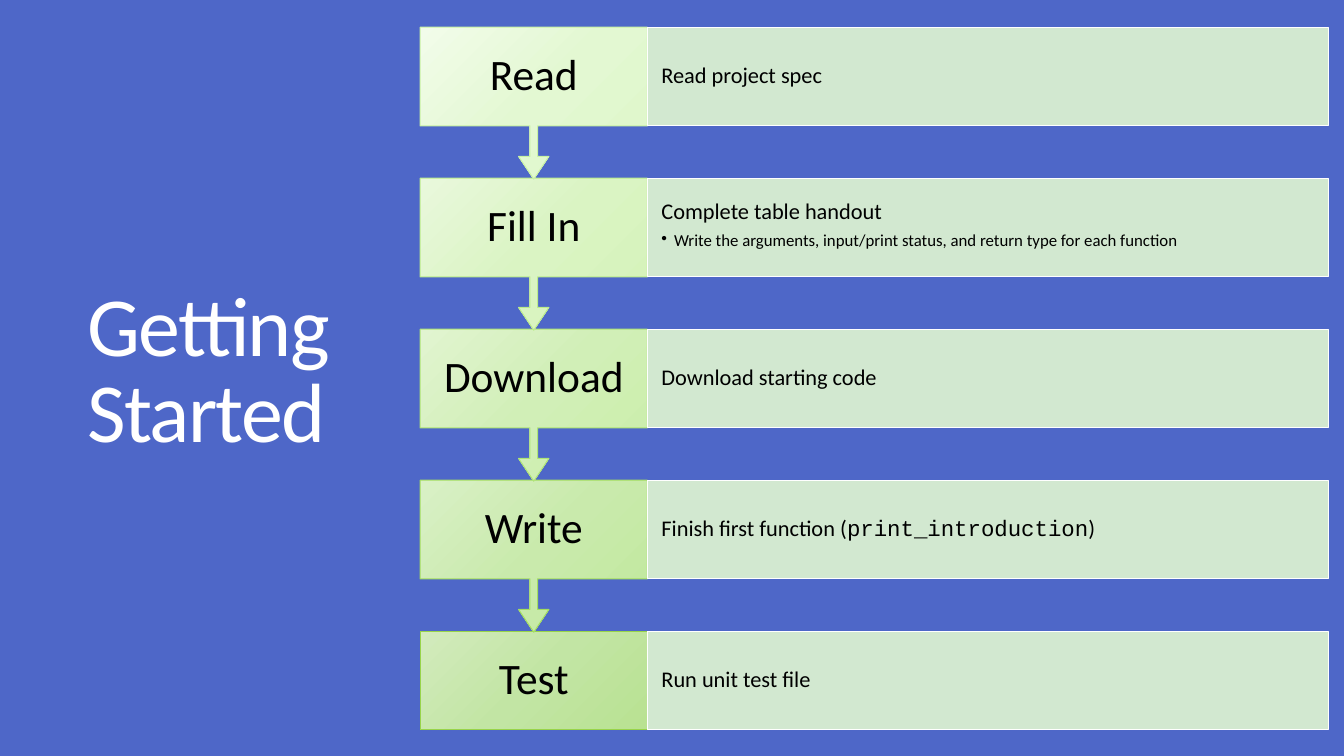
import copy

import pptx
import pptx.dml.color
import pptx.enum.shapes
import pptx.enum.text
import pptx.oxml
import pptx.oxml.ns
import pptx.util

Pt = pptx.util.Pt
SHAPES = pptx.enum.shapes.MSO_SHAPE
ALIGN = pptx.enum.text.PP_ALIGN
ANCHOR = pptx.enum.text.MSO_ANCHOR

# Content: step name, detail paragraphs (each a list of (text, is_code) runs)
TITLE = "Getting Started"
STEPS = [
    ("Read", [[("Read project spec", False)]]),
    ("Fill In", [
        [("Complete table handout", False)],
        [("Write the arguments, input/print status, and return type for each function", False)],
    ]),
    ("Download", [[("Download starting code", False)]]),
    ("Write", [[("Finish first function (", False), ("print_introduction", True), (")", False)]]),
    ("Test", [[("Run unit test file", False)]]),
]

THEME = {
    "font": "Calibri", "code_font": "Courier New",
    "background": "4E67C8", "white": "FFFFFF", "text": "000000",
    "detail": "E1F7D1", "detail_opacity": 90,
    "title_size": 60, "step_size": 31, "detail_size": 16, "bullet_size": 12,
    # Per step: three gradient stops, then the outline
    "steps": [
        ("F2FCEA", "E3F8D2", "DEF7C9", "C8F1A3"),
        ("E9F8DC", "DAF4C3", "D4F3B8", "BBEB8B"),
        ("E1F4D0", "D1EFB7", "CAEEA9", "AEE475"),
        ("D9F0C6", "C9EAAC", "C1E99D", "A3DD5F"),
        ("D3EBBD", "C2E5A4", "B9E292", "98D44A"),
    ],
}

# Layout in points
TOP, PITCH = 19.4, 107.85
BOX_HEIGHT, CALLOUT_HEIGHT = 70.6, 108.6
STEP_LEFT, STEP_WIDTH, DETAIL_WIDTH = 300.2, 162.2, 486.3
BULLET_INDENT = 9


def color(name):
    return pptx.dml.color.RGBColor.from_string(name)


def write(frame, paragraphs, size, ink=THEME["text"], align=ALIGN.LEFT,
          anchor=ANCHOR.MIDDLE, insets=(7.2, 3.6), line_spacing=0.9, tracking=None):
    """Fill a frame; paragraphs after the first become smaller bullets."""
    frame.word_wrap = True
    frame.vertical_anchor = anchor
    frame.margin_left = frame.margin_right = Pt(insets[0])
    frame.margin_top = frame.margin_bottom = Pt(insets[1])
    for index, runs in enumerate(paragraphs):
        paragraph = frame.add_paragraph() if index else frame.paragraphs[0]
        paragraph.alignment = align
        paragraph.line_spacing = line_spacing
        if index < len(paragraphs) - 1:
            paragraph.space_after = Pt(5.6)
        if index:
            properties = paragraph._p.get_or_add_pPr()
            properties.set("marL", str(Pt(BULLET_INDENT)))
            properties.set("indent", str(-Pt(BULLET_INDENT)))
            bullet = pptx.oxml.parse_xml(
                f'<a:buChar {pptx.oxml.ns.nsdecls("a")} char="•"/>')
            properties.append(bullet)
        for text, is_code in runs:
            run = paragraph.add_run()
            run.text = text
            run.font.name = THEME["code_font" if is_code else "font"]
            run.font.size = Pt(THEME["bullet_size"] if index else size)
            run.font.color.rgb = color(ink)
            if tracking:
                run._r.get_or_add_rPr().set("spc", str(round(tracking * 100)))


def add_box(slide, kind, left, top, width, height, outline):
    shape = slide.shapes.add_shape(kind, Pt(left), Pt(top), Pt(width), Pt(height))
    shape.shadow.inherit = False
    shape.line.color.rgb = color(outline)
    shape.line.width = Pt(0.75)
    return shape


def fill_gradient(shape, colors):
    shape.fill.gradient()
    shape.fill.gradient_angle = 315
    first = shape._element.spPr.find(".//" + pptx.oxml.ns.qn("a:gs"))
    first.addnext(copy.deepcopy(first))
    for stop, name, position in zip(shape.fill.gradient_stops, colors, (0, 0.5, 1)):
        stop.color.rgb = color(name)
        stop.position = position


def add_step(slide, index, name, details):
    top = TOP + index * PITCH
    *stops, outline = THEME["steps"][index]

    # Step name; every step but the last points down to the next
    if index < len(STEPS) - 1:
        step = add_box(slide, SHAPES.DOWN_ARROW_CALLOUT, STEP_LEFT, top,
                       STEP_WIDTH, CALLOUT_HEIGHT, outline)
        for number, value in enumerate((0.05, 0.1, 0.15, 0.65)):
            step.adjustments[number] = value
    else:
        step = add_box(slide, SHAPES.RECTANGLE, STEP_LEFT, top,
                       STEP_WIDTH, BOX_HEIGHT, outline)
    fill_gradient(step, stops)
    write(step.text_frame, [[(name, False)]], THEME["step_size"],
          align=ALIGN.CENTER, insets=(11.5, 17.3))

    # Detail panel
    panel = add_box(slide, SHAPES.RECTANGLE, STEP_LEFT + STEP_WIDTH, top,
                    DETAIL_WIDTH, BOX_HEIGHT, THEME["white"])
    panel.fill.solid()
    panel.fill.fore_color.rgb = color(THEME["detail"])
    tint = panel._element.spPr.find(".//" + pptx.oxml.ns.qn("a:srgbClr"))
    tint.append(pptx.oxml.parse_xml(
        f'<a:alpha {pptx.oxml.ns.nsdecls("a")} val="{THEME["detail_opacity"] * 1000}"/>'))
    write(panel.text_frame, details, THEME["detail_size"], insets=(10.1, 15.8),
          anchor=ANCHOR.TOP if len(details) > 1 else ANCHOR.MIDDLE)


def main():
    presentation = pptx.Presentation()
    presentation.slide_width, presentation.slide_height = Pt(960), Pt(540)
    slide = presentation.slides.add_slide(presentation.slide_layouts[6])
    slide.background.fill.solid()
    slide.background.fill.fore_color.rgb = color(THEME["background"])

    # Title
    title = slide.shapes.add_textbox(Pt(55.4), Pt(50.4), Pt(314.6), Pt(432.7))
    write(title.text_frame, [[(TITLE, False)]], THEME["title_size"],
          ink=THEME["white"], line_spacing=0.85, tracking=-1.2)

    # Steps, last first so each arrow tip lies over the next box
    for index, (name, details) in reversed(list(enumerate(STEPS))):
        add_step(slide, index, name, details)

    presentation.save("out.pptx")


if __name__ == "__main__":
    main()
